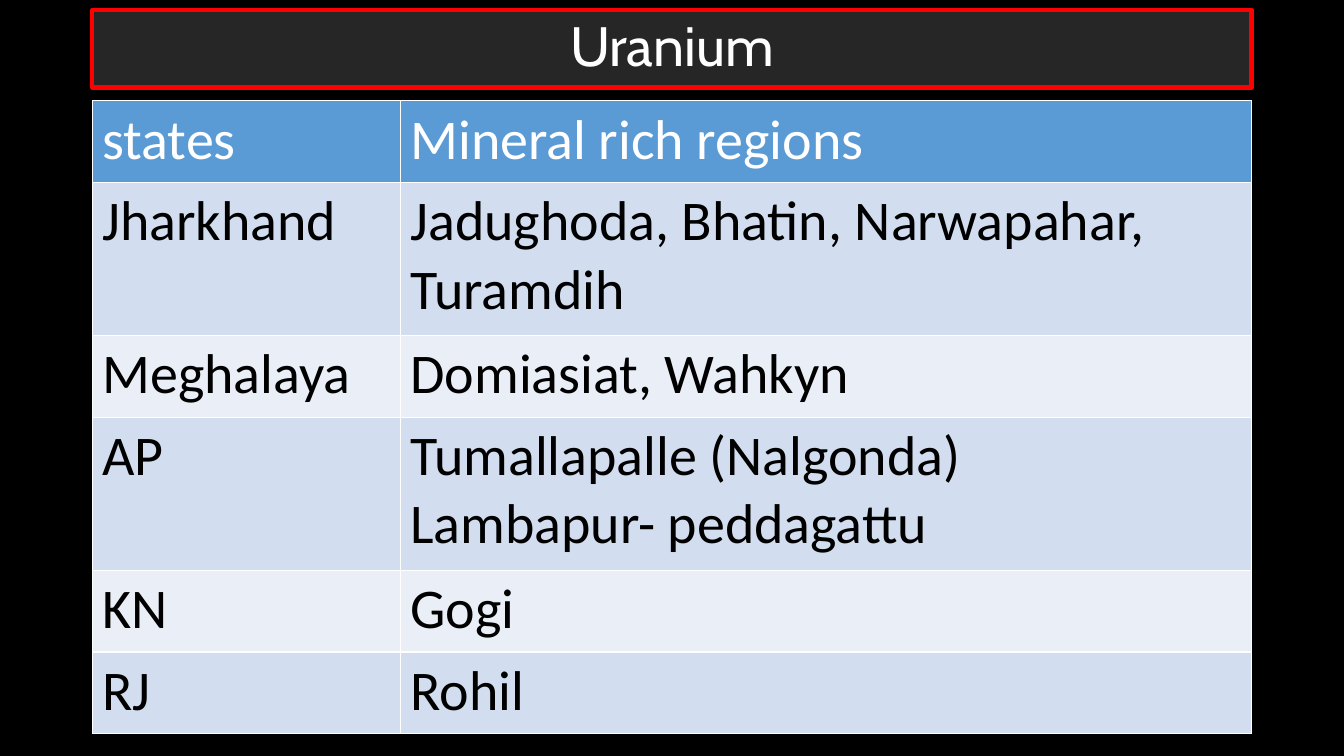
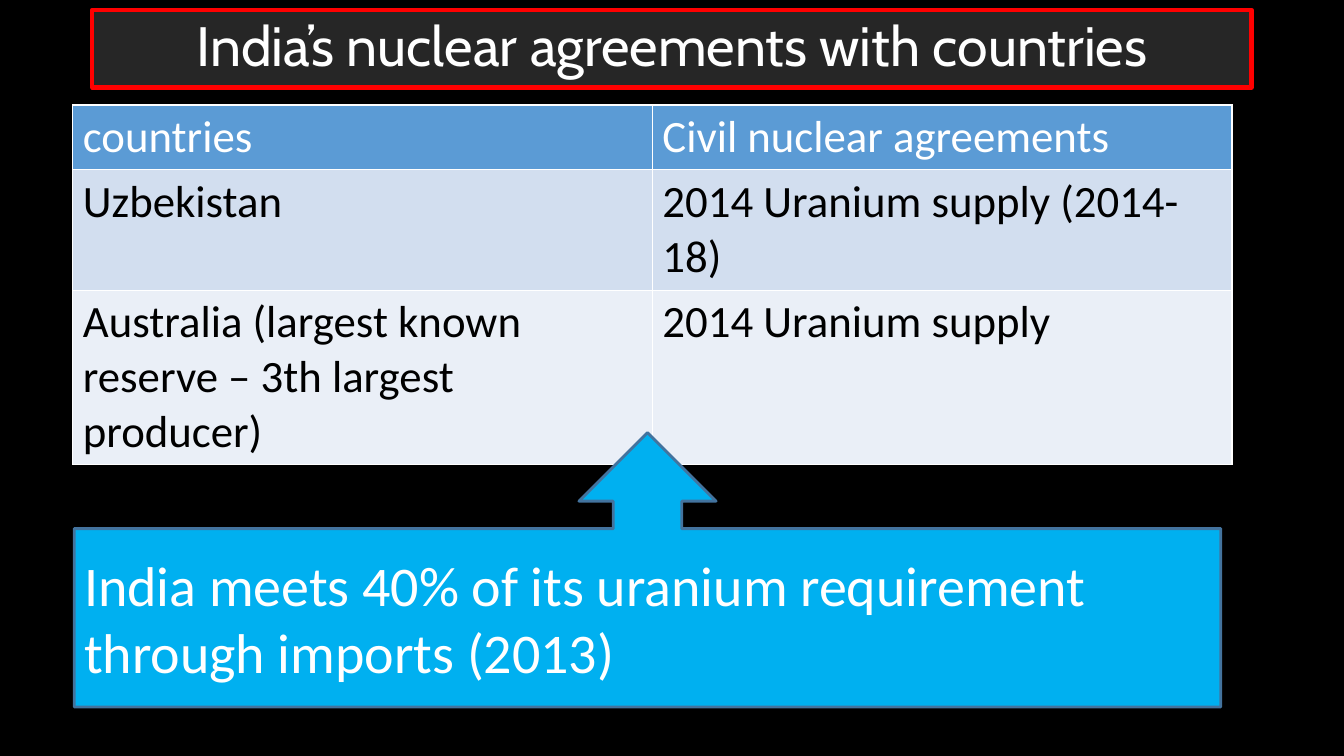
from dataclasses import dataclass

from pptx import Presentation
from pptx.dml.color import RGBColor
from pptx.enum.shapes import MSO_SHAPE
from pptx.enum.text import MSO_ANCHOR, MSO_AUTO_SIZE, PP_ALIGN
from pptx.util import Pt

UP_ARROW_CALLOUT = MSO_SHAPE.UP_ARROW_CALLOUT
MIDDLE = MSO_ANCHOR.MIDDLE
NO_AUTOFIT = MSO_AUTO_SIZE.NONE
LEFT = PP_ALIGN.LEFT
CENTER = PP_ALIGN.CENTER
TITLE_ONLY = 5


@dataclass(frozen=True)
class Theme:
    background: str = "000000"
    title_fill: str = "262626"
    title_line: str = "FF0000"
    header_fill: str = "5B9BD5"
    band_fills: tuple = ("D2DEEF", "EAEFF7")
    callout_fill: str = "00B0F0"
    callout_line: str = "43739E"
    light_text: str = "FFFFFF"
    dark_text: str = "000000"
    title_font: str = "Cabin"
    body_font: str = "Calibri"
    title_size: float = 39.6
    large_size: float = 40
    medium_size: float = 32


THEME = Theme()


def paint(item, color):
    item.fill.solid()
    item.fill.fore_color.rgb = RGBColor.from_string(color)


def outline(shape, color, width):
    shape.line.color.rgb = RGBColor.from_string(color)
    shape.line.width = Pt(width)


def write(frame, text, font, size, color, align=LEFT, spacing=None):
    frame.text = text
    for para in frame.paragraphs:
        para.alignment = align
        para.line_spacing = spacing
        for span in para.runs:
            span.font.name = font
            span.font.size = Pt(size)
            span.font.bold = False
            span.font.color.rgb = RGBColor.from_string(color)


def add_titled_page(deck, text):
    page = deck.slides.add_slide(deck.slide_layouts[TITLE_ONLY])
    title = page.shapes.title
    title.left, title.top, title.width, title.height = Pt(66), Pt(7), Pt(828), Pt(55.5)
    paint(title, THEME.title_fill)
    outline(title, THEME.title_line, 3)
    frame = title.text_frame
    frame.auto_size = NO_AUTOFIT
    frame.vertical_anchor = MIDDLE
    write(frame, text, THEME.title_font, THEME.title_size, THEME.light_text, CENTER, 0.9)
    return page


def add_banded_table(page, left, top, widths, heights, rows, size):
    table = page.shapes.add_table(
        len(rows), len(widths), Pt(left), Pt(top), Pt(sum(widths)), Pt(sum(heights))
    ).table
    for column, width in zip(table.columns, widths):
        column.width = Pt(width)
    for row_index, (row, height, texts) in enumerate(zip(table.rows, heights, rows)):
        row.height = Pt(height)
        if row_index == 0:
            fill, color = THEME.header_fill, THEME.light_text
        else:
            fill, color = THEME.band_fills[(row_index - 1) % 2], THEME.dark_text
        for cell, text in zip(row.cells, texts):
            paint(cell, fill)
            write(cell.text_frame, text, THEME.body_font, size, color)


def add_callout(page, left, top, width, height, text):
    callout = page.shapes.add_shape(
        UP_ARROW_CALLOUT, Pt(left), Pt(top), Pt(width), Pt(height)
    )
    callout.shadow.inherit = False
    paint(callout, THEME.callout_fill)
    outline(callout, THEME.callout_line, 2)
    frame = callout.text_frame
    frame.word_wrap = True
    frame.vertical_anchor = MIDDLE
    write(frame, text, THEME.body_font, THEME.large_size, THEME.light_text)


def build_uranium_page(deck):
    page = add_titled_page(deck, "Uranium")
    rows = [
        ("states", "Mineral rich regions"),
        ("Jharkhand", "Jadughoda, Bhatin, Narwapahar, Turamdih"),
        ("Meghalaya", "Domiasiat, Wahkyn"),
        ("AP", "Tumallapalle (Nalgonda)\nLambapur- peddagattu"),
        ("KN", "Gogi"),
        ("RJ", "Rohil"),
    ]
    single, double = 58.4, 109.3
    heights = [single, double, single, double, single, single]
    add_banded_table(page, 66, 72, [220, 608], heights, rows, THEME.large_size)


def build_agreements_page(deck):
    page = add_titled_page(deck, "India’s nuclear agreements with countries")
    rows = [
        ("countries", "Civil nuclear agreements"),
        ("Uzbekistan", "2014 Uranium supply (2014-18)"),
        (
            "Australia (largest known reserve – 3th largest producer)",
            "2014 Uranium supply",
        ),
    ]
    add_banded_table(
        page, 52, 75, [414, 414], [46, 86, 124.5], rows, THEME.medium_size
    )
    add_callout(
        page, 53, 309, 819, 196,
        "India meets 40% of its uranium requirement through imports (2013)",
    )


def main():
    deck = Presentation()
    deck.slide_width, deck.slide_height = Pt(960), Pt(540)
    paint(deck.slide_master.background, THEME.background)
    build_uranium_page(deck)
    build_agreements_page(deck)
    deck.save("out.pptx")


if __name__ == "__main__":
    main()
